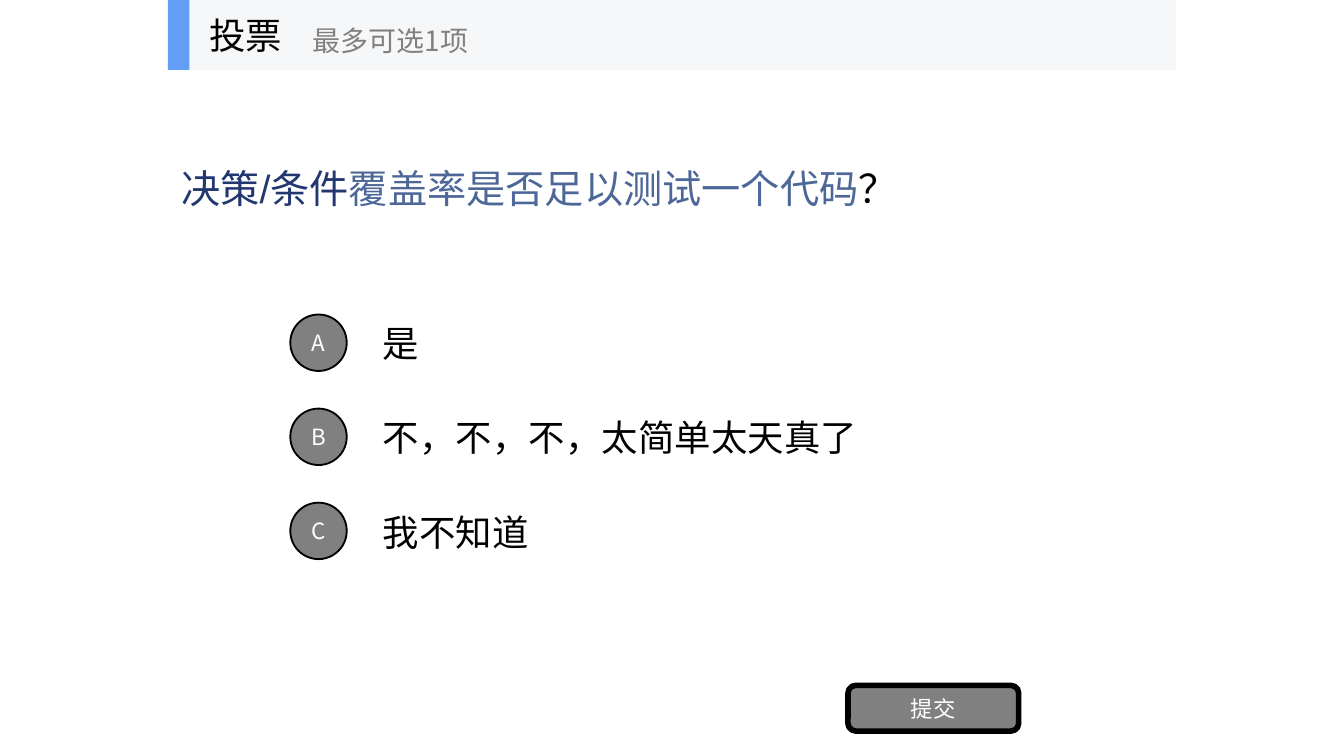
from lxml import etree
from pptx import Presentation
from pptx.dml.color import RGBColor
from pptx.enum.shapes import MSO_SHAPE
from pptx.enum.text import MSO_ANCHOR, PP_ALIGN
from pptx.oxml.ns import qn
from pptx.util import Inches, Pt

RECTANGLE = MSO_SHAPE.RECTANGLE
ROUNDED = MSO_SHAPE.ROUNDED_RECTANGLE
OVAL = MSO_SHAPE.OVAL
MIDDLE = MSO_ANCHOR.MIDDLE
LEFT, CENTER = PP_ALIGN.LEFT, PP_ALIGN.CENTER

CJK_FONT = "Noto Sans CJK SC"
BLACK, GRAY, WHITE = "000000", "808080", "FFFFFF"


def color(hex_value):
    return RGBColor.from_string(hex_value)


def write(shape, runs, size, align=LEFT, font_name=CJK_FONT):
    """Fill a shape with one paragraph made of (text, colour) runs."""
    frame = shape.text_frame
    frame.word_wrap = True
    frame.vertical_anchor = MIDDLE
    paragraph = frame.paragraphs[0]
    paragraph.alignment = align
    paragraph.font.size = Pt(size)
    paragraph.font.name = font_name
    east_asian = etree.Element(qn("a:ea"), typeface=CJK_FONT)
    paragraph._p.pPr.find(".//" + qn("a:latin")).addnext(east_asian)
    if len(runs) == 1:
        paragraph.font.color.rgb = color(runs[0][1])
    for text, run_color in runs:
        run = paragraph.add_run()
        run.text = text
        if len(runs) > 1:
            run.font.color.rgb = color(run_color)


def add_label(slide, box, runs, size, font_name=CJK_FONT):
    label = slide.shapes.add_textbox(*map(Inches, box))
    write(label, runs, size, font_name=font_name)


def add_block(slide, kind, box, fill, line_width=0):
    block = slide.shapes.add_shape(kind, *map(Inches, box))
    block.shadow.inherit = False
    block.fill.solid()
    block.fill.fore_color.rgb = color(fill)
    if line_width:
        block.line.color.rgb = color(BLACK)
        block.line.width = Pt(line_width)
    else:
        block.line.fill.background()
    return block


def add_button(slide, kind, box, text, line_width):
    button = add_block(slide, kind, box, GRAY, line_width)
    button.text_frame.margin_left = button.text_frame.margin_right = 0
    button.text_frame.margin_top = button.text_frame.margin_bottom = 0
    write(button, [(text, WHITE)], 12, CENTER)
    return button


def add_header(slide):
    add_block(slide, RECTANGLE, (1.25, 0, 7.5, 0.52), "F6F7F8")
    add_block(slide, RECTANGLE, (1.25, 0, 0.16, 0.52), "639EF4")
    add_label(slide, (1.46, 0, 1.56, 0.52), [("投票", BLACK)], 19.5)
    add_label(slide, (2.23, 0.09, 1.88, 0.42), [("最多可选1项", GRAY)], 15)


def add_options(slide, answers):
    for row, (letter, answer) in enumerate(answers):
        top = 2.29 + 0.7 * row
        add_label(slide, (2.75, top, 5.25, 0.53), [(answer, BLACK)], 19.5)
        add_button(slide, OVAL, (2.16, top + 0.05, 0.42, 0.42), letter, 1)


def main():
    deck = Presentation()
    deck.slide_width = Inches(10)
    deck.slide_height = deck.slide_width * 9 // 16
    slide = deck.slides.add_slide(deck.slide_layouts[6])

    question = [
        ("决策/条件", "223770"),
        ("覆盖率是否足以测试一个代码", "4D6798"),
        ("？", BLACK),
    ]
    add_label(slide, (1.25, 0.52, 7.66, 1.76), question, 21, "Arial")
    add_options(slide, [
        ("A", "是"),
        ("B", "不，不，不，太简单太天真了"),
        ("C", "我不知道"),
    ])
    submit = add_button(slide, ROUNDED, (6.31, 5.1, 1.27, 0.34), "提交", 3)
    submit.adjustments[0] = 0.17
    add_header(slide)

    deck.save("out.pptx")


if __name__ == "__main__":
    main()
